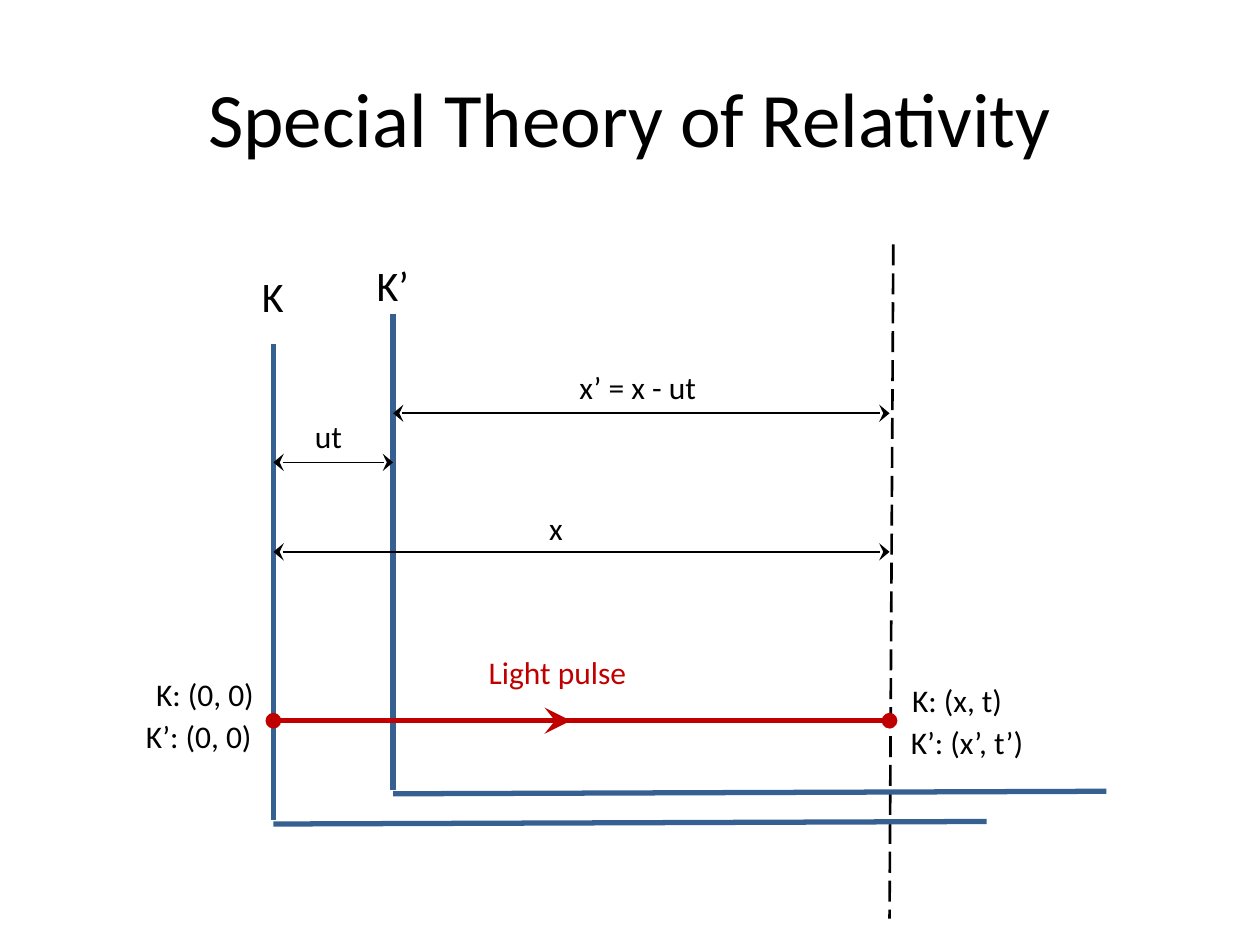
from lxml import etree
from pptx import Presentation
from pptx.dml.color import RGBColor
from pptx.enum.dml import MSO_LINE
from pptx.enum.shapes import MSO_CONNECTOR
from pptx.enum.text import MSO_ANCHOR, MSO_AUTO_SIZE, PP_ALIGN
from pptx.oxml.ns import qn
from pptx.util import Inches, Pt

STRAIGHT = MSO_CONNECTOR.STRAIGHT
LONG_DASH = MSO_LINE.LONG_DASH
MIDDLE = MSO_ANCHOR.MIDDLE
CENTER = PP_ALIGN.CENTER
FIT_SHAPE = MSO_AUTO_SIZE.SHAPE_TO_FIT_TEXT

COLORS = {"ink": "000000", "axis": "376092", "light": "C00000"}
FONT = "Calibri"

# Arrowheads as (type, width, length)
DIMENSION_END = ("stealth", "lg", "med")
PULSE_END = ("stealth", "lg", "lg")
EVENT_DOT = ("oval", "med", "med")


class DiagramSlide:
    """Holds the text style and the slide being drawn."""

    def __init__(self, slide):
        self.slide = slide
        self.font = FONT

    def text(self, text, left, top, width, height=0.4, size=18, color="ink"):
        box = self.slide.shapes.add_textbox(
            Inches(left), Inches(top), Inches(width), Inches(height))
        frame = box.text_frame
        frame.text = text
        frame.word_wrap = False
        frame.auto_size = FIT_SHAPE
        font = frame.paragraphs[0].runs[0].font
        font.name = self.font
        font.size = Pt(size)
        font.color.rgb = RGBColor.from_string(COLORS[color])
        return frame

    def title(self, text):
        frame = self.text(text, 0.5, 0.3, 9, 1.25, size=44)
        frame.auto_size = MSO_AUTO_SIZE.NONE
        frame.word_wrap = True
        frame.vertical_anchor = MIDDLE
        frame.paragraphs[0].alignment = CENTER

    def line(self, start, end, color="ink", width=1, dash=None, head=None, tail=None):
        points = [Inches(value) for value in (*start, *end)]
        connector = self.slide.shapes.add_connector(STRAIGHT, *points)
        connector.line.color.rgb = RGBColor.from_string(COLORS[color])
        connector.line.width = Pt(width)
        if dash is not None:
            connector.line.dash_style = dash
        properties = connector._element.spPr
        outline = properties.find(qn("a:ln"))
        for tag, style in (("a:headEnd", head), ("a:tailEnd", tail)):
            if style:
                kind, breadth, length = style
                etree.SubElement(outline, qn(tag), type=kind, w=breadth, len=length)
        etree.SubElement(properties, qn("a:effectLst"))

    def frame_axes(self, x, top):
        """Draw the two axes of a reference frame."""
        self.line((x, top), (x, top + 3.78), "axis", 3)
        self.line((x + 5.66, top + 3.79), (x, top + 3.81), "axis", 3)

    def dimension(self, left, right, y):
        self.line((left, y), (right, y), head=DIMENSION_END, tail=DIMENSION_END)


def main():
    presentation = Presentation()
    presentation.slide_width = Inches(10)
    presentation.slide_height = Inches(7.5)
    diagram = DiagramSlide(presentation.slides.add_slide(presentation.slide_layouts[6]))

    k_x, k_prime_x, event_x, pulse_y = 2.17, 3.12, 7.06, 5.72

    # Event position and title
    diagram.line((7.09, 1.94), (event_x, 7.29), width=1.5, dash=LONG_DASH)
    diagram.title("Special Theory of Relativity")

    # Reference frames
    diagram.frame_axes(k_prime_x, 2.49)
    diagram.frame_axes(k_x, 2.73)
    diagram.text("K", 1.98, 2.1, 0.38, 0.5, size=24)
    diagram.text("K’", 2.89, 2.01, 0.46, 0.5, size=24)

    # Light pulse between the two events
    diagram.line((k_x, pulse_y), (event_x, pulse_y), "light", 3,
                 head=EVENT_DOT, tail=EVENT_DOT)

    # Distances
    diagram.dimension(k_x, k_prime_x, 3.67)
    diagram.dimension(k_prime_x, event_x, 3.28)
    diagram.dimension(k_x, event_x, 4.38)

    # Labels
    diagram.text("Light pulse", 3.78, 5.13, 1.31, color="light")
    for text, left, top, width in (
        ("x", 4.26, 3.99, 0.31),
        ("ut", 2.4, 3.26, 0.42),
        ("x’ = x - ut", 4.5, 2.87, 1.14),
        ("K: (0, 0)", 1.14, 5.31, 0.99),
        ("K’: (0, 0)", 1.06, 5.64, 1.05),
        ("K: (x, t)", 7.14, 5.36, 0.93),
        ("K’: (x’, t’)", 7.13, 5.69, 1.11),
    ):
        diagram.text(text, left, top, width)

    # Direction of the pulse
    diagram.line((3.65, pulse_y), (4.53, pulse_y), "light", 3, tail=PULSE_END)

    presentation.save("out.pptx")


if __name__ == "__main__":
    main()
